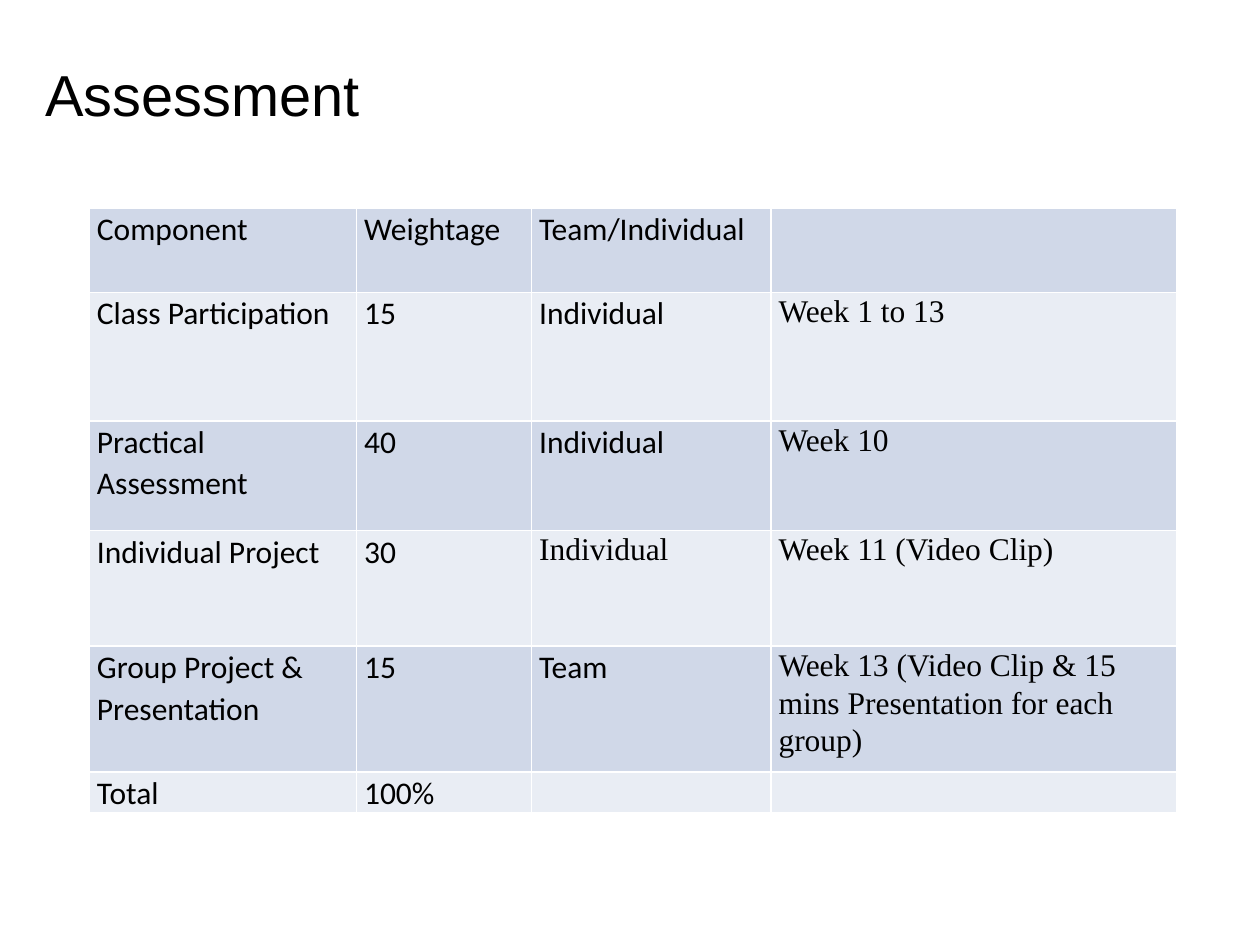
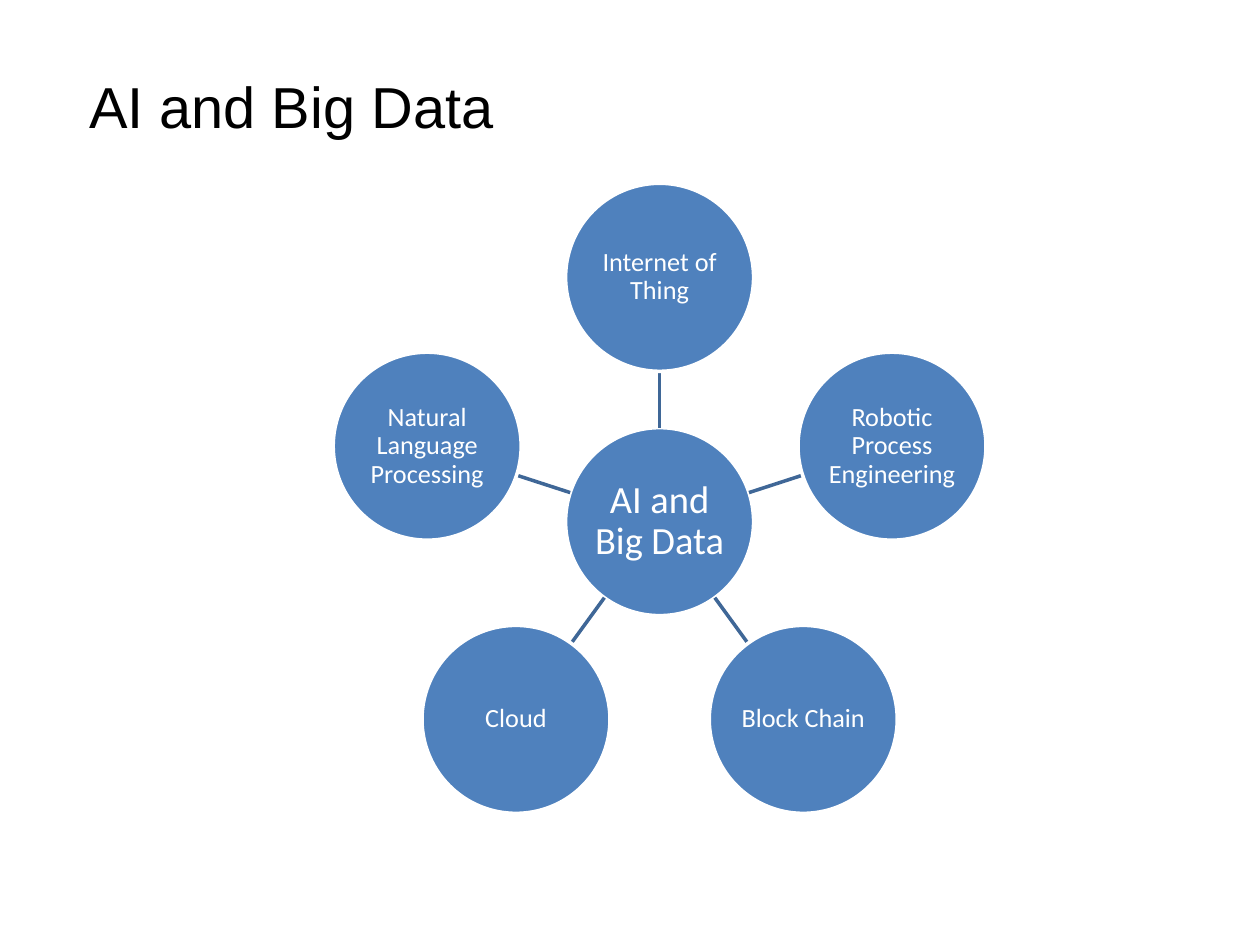
from dataclasses import dataclass
from math import cos, pi, sin

from lxml import etree
from pptx import Presentation
from pptx.dml.color import RGBColor
from pptx.enum.shapes import MSO_CONNECTOR, MSO_SHAPE
from pptx.enum.text import MSO_ANCHOR, PP_ALIGN
from pptx.oxml.ns import qn
from pptx.util import Inches, Pt

OVAL = MSO_SHAPE.OVAL
LINE = MSO_CONNECTOR.STRAIGHT
MIDDLE = MSO_ANCHOR.MIDDLE
TOP = MSO_ANCHOR.TOP
LEFT = PP_ALIGN.LEFT
CENTER = PP_ALIGN.CENTER
WIDE, HIGH = 10, 7.5
BLANK = 6


@dataclass(frozen=True)
class Theme:
    black: str = "000000"
    white: str = "FFFFFF"
    dark: str = "D0D8E8"
    pale: str = "E9EDF4"
    blue: str = "4F81BD"
    navy: str = "3F6797"
    head: str = "Arial"
    body: str = "Calibri"
    serif: str = "Times New Roman"
    title: int = 33
    cell: int = 18
    hub: int = 22
    node: int = 15


THEME = Theme()


@dataclass
class Box:
    """Place and size in inches."""
    x: float
    y: float
    w: float
    h: float

    def emu(self):
        return [Inches(v) for v in (self.x, self.y, self.w, self.h)]


def share(x, y, w, h):
    """Box from percentages of the slide's width and height."""
    return Box(x * WIDE / 100, y * HIGH / 100, w * WIDE / 100, h * HIGH / 100)


def color(code):
    return RGBColor.from_string(code)


def paint(item, code):
    item.fill.solid()
    item.fill.fore_color.rgb = color(code)


def write(frame, text, font, size, ink, align=LEFT, space=1.0):
    frame.text = text
    para = frame.paragraphs[0]
    para.alignment = align
    para.line_spacing = space
    for run in para.runs:
        run.font.name = font
        run.font.size = Pt(size)
        run.font.color.rgb = color(ink)


def add_title(slide, box, text):
    frame = slide.shapes.add_textbox(*box.emu()).text_frame
    frame.word_wrap = True
    frame.vertical_anchor = MIDDLE
    write(frame, text, THEME.head, THEME.title, THEME.black)


def add_edges(cell):
    """Draw a thin white border on all four sides of a cell."""
    props = cell._tc.get_or_add_tcPr()
    for spot, side in enumerate(("lnL", "lnR", "lnT", "lnB")):
        edge = etree.Element(qn(f"a:{side}"), w=str(Pt(1)))
        fill = etree.SubElement(edge, qn("a:solidFill"))
        etree.SubElement(fill, qn("a:srgbClr"), val=THEME.white)
        props.insert(spot, edge)


def add_grid(slide, box, rows, cols, heights, serif):
    """Banded table; serif holds the (row, column) cells set in the serif font."""
    table = slide.shapes.add_table(len(rows), len(cols), *box.emu()).table
    table.first_row = table.horz_banding = False
    for col, part in zip(table.columns, cols):
        col.width = Inches(box.w * part / sum(cols))
    for row, part in zip(table.rows, heights):
        row.height = Inches(box.h * part / sum(heights))
    for r, row in enumerate(rows):
        for c, text in enumerate(row):
            cell = table.cell(r, c)
            cell.margin_left = cell.margin_right = Inches(0.06)
            cell.margin_top = cell.margin_bottom = 0
            cell.vertical_anchor = TOP
            font = THEME.serif if (r, c) in serif else THEME.body
            write(cell.text_frame, text, font, THEME.cell, THEME.black, space=1.07)
            paint(cell, THEME.pale if r % 2 else THEME.dark)
            add_edges(cell)


def add_disc(slide, x, y, size, text, points):
    """Circle centred on x, y."""
    box = Box(x - size / 2, y - size / 2, size, size)
    disc = slide.shapes.add_shape(OVAL, *box.emu())
    disc.shadow.inherit = False
    paint(disc, THEME.blue)
    disc.line.color.rgb = color(THEME.white)
    disc.line.width = Pt(2)
    frame = disc.text_frame
    frame.word_wrap = True
    frame.vertical_anchor = MIDDLE
    frame.margin_left = frame.margin_right = Inches(0.01)
    frame.margin_top = frame.margin_bottom = Inches(0.01)
    write(frame, text, THEME.body, points, THEME.white, CENTER, 0.9)


def add_spoke(slide, start, end):
    spoke = slide.shapes.add_connector(LINE, *[Inches(v) for v in (*start, *end)])
    spoke.line.color.rgb = color(THEME.navy)
    spoke.line.width = Pt(2)
    etree.SubElement(spoke._element.spPr, qn("a:effectLst"))


def add_wheel(slide, box, hub, nodes):
    """Hub with nodes on a ring, clockwise from the top, filling the box's height."""
    step = 2 * pi / len(nodes)
    ring = 1.3
    size = box.h / (1 + ring * (1 + cos(step / 2)))
    mid_x = box.x + box.w / 2
    mid_y = box.y + size * (0.5 + ring)

    def polar(reach, turn):
        return mid_x + reach * size * sin(turn), mid_y - reach * size * cos(turn)

    add_disc(slide, mid_x, mid_y, size, hub, THEME.hub)
    for i, text in enumerate(nodes):
        turn = i * step
        add_spoke(slide, polar(0.5, turn), polar(0.8, turn))
        add_disc(slide, *polar(ring, turn), size, text, THEME.node)


def add_slide(deck, box, title):
    slide = deck.slides.add_slide(deck.slide_layouts[BLANK])
    add_title(slide, box, title)
    return slide


def add_marks(deck):
    slide = add_slide(deck, share(2.6, 3.6, 67.5, 12.5), "Assessment")
    rows = [
        ("Component", "Weightage", "Team/Individual", ""),
        ("Class Participation", "15", "Individual", "Week 1 to 13"),
        ("Practical Assessment", "40", "Individual", "Week 10"),
        ("Individual Project", "30", "Individual", "Week 11 (Video Clip)"),
        ("Group Project & Presentation", "15", "Team",
         "Week 13 (Video Clip & 15 mins Presentation for each group)"),
        ("Total", "100%", "", ""),
    ]
    serif = {(r, 3) for r in range(1, 5)} | {(3, 2)}
    add_grid(slide, share(7.1, 22, 86.3, 64), rows, cols=(2.12, 1.39, 1.9, 3.22),
             heights=(0.67, 1.02, 0.87, 0.92, 1, 0.32), serif=serif)


def add_topics(deck):
    title = "AI and Big Data"
    slide = add_slide(deck, share(6.1, 4.27, 75.1, 13.73), title)
    nodes = ["Internet of Thing", "Robotic Process Engineering", "Block Chain",
             "Cloud", "Natural Language Processing"]
    add_wheel(slide, share(26.4, 19.4, 51.9, 66.67), title, nodes)


def main():
    deck = Presentation()
    deck.slide_width, deck.slide_height = Inches(WIDE), Inches(HIGH)
    add_marks(deck)
    add_topics(deck)
    deck.save("out.pptx")


if __name__ == "__main__":
    main()
